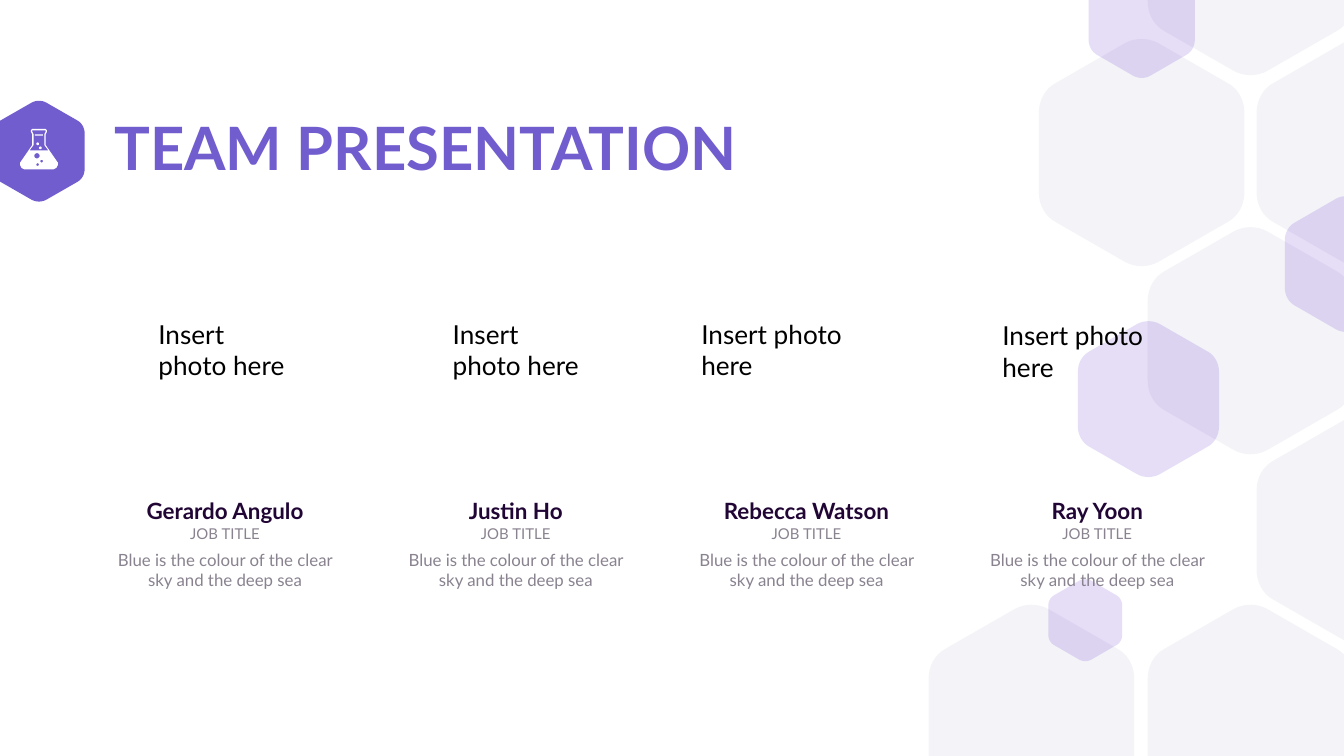
from math import cos, pi, sin

from lxml.etree import SubElement
from pptx import Presentation
from pptx.dml.color import RGBColor
from pptx.enum.shapes import MSO_SHAPE as SHAPE
from pptx.enum.text import MSO_ANCHOR as ANCHOR, MSO_AUTO_SIZE as AUTO, PP_ALIGN as ALIGN
from pptx.oxml.ns import qn
from pptx.util import Inches, Pt

WIDTH, HEIGHT = 10, 10 * 9 / 16
FONT = "Lato"
PURPLE, VIOLET, PALE, WHITE = "725DCF", "5322C9", "F4F3F8", "FFFFFF"
DARK, GREY, BLACK = "210635", "89828F", "000000"

BIG, MEDIUM = (1.53, 1.69), (0.91, 1.01)
BACKGROUND_HEXAGONS = [
    (6.91, 4.5, BIG, PALE, None),
    (8.54, 4.5, BIG, PALE, None),
    (9.35, 0.29, BIG, PALE, None),
    (8.54, -1.13, BIG, PALE, None),
    (8.54, 1.69, BIG, PALE, None),
    (7.73, 0.29, BIG, PALE, None),
    (9.56, 1.46, MEDIUM, VIOLET, 15),
    (7.8, 4.31, (0.55, 0.61), VIOLET, 15),
    (8.1, -0.3, (0.79, 0.88), VIOLET, 15),
    (8.02, 2.39, (1.05, 1.16), VIOLET, 15),
    (9.35, 3.1, BIG, PALE, None),
]
SIDE_CORNER = [(1, 0.325), (1, 0.27), (0.97, 0.22), (0.92, 0.195)]
TOP_CORNER = [(0.58, 0.018), (0.53, -0.006), (0.47, -0.006), (0.42, 0.018)]

FLASK_MIDDLE = 0.29
FLASK_OUTLINE = [(0.05, 0.96), (0.06, 0.97), (0.06, 0.98), (0.05, 1), (0.05, 1.08),
                 (0.14, 1.21), (0.14, 1.23), (0.13, 1.25), (0.11, 1.26)]
FLASK_INSIDE = [(0.05, 0.97), (0.05, 0.98), (0.04, 1), (0.04, 1.08), (0.07, 1.12)]
LIQUID_BUBBLES = [(0.275, 1.16, 0.02), (0.31, 1.2, 0.01), (0.28, 1.225, 0.01)]
AIR_BUBBLES = [(0.29, 1.09), (0.27, 1.06)]

NAMES = ["Gerardo Angulo", "Justin Ho", "Rebecca Watson", "Ray Yoon"]
JOB = "JOB TITLE"
BIO = "Blue is the colour of the clear sky and the deep sea"
PHOTO_BOXES = [(1.08, 2.27, 1.22), (3.27, 2.27, 1.22), (5.12, 2.27, 1.54), (7.36, 2.28, 1.42)]


def rgb(code):
    """Turn a hex string into a colour."""
    return RGBColor.from_string(code)


def paint(sp, color, alpha=None):
    """Fill a shape without line or shadow, with an optional opacity in percent."""
    sp.shadow.inherit = False
    sp.line.fill.background()
    sp.fill.solid()
    sp.fill.fore_color.rgb = rgb(color)
    if alpha is not None:
        node = sp.fill._xPr.find(f"{qn('a:solidFill')}/{qn('a:srgbClr')}")
        SubElement(node, qn("a:alpha")).set("val", str(alpha * 1000))


def add_outline(s, contours, color, alpha=None):
    """Draw closed contours, given in inches, as one freeform."""
    scaled = [[(Inches(x), Inches(y)) for x, y in contour] for contour in contours]
    builder = s.shapes.build_freeform(*scaled[0][0], scale=1.0)
    for i, points in enumerate(scaled):
        if i:
            builder.move_to(*points[0])
        builder.add_line_segments(points[1:], close=True)
    paint(builder.convert_to_shape(), color, alpha)


def bezier(controls, steps=8):
    """Sample a cubic curve."""
    weights = (1, 3, 3, 1)
    return [tuple(sum(n * (1 - t) ** (3 - k) * t ** k * pt[axis]
                      for k, (n, pt) in enumerate(zip(weights, controls)))
                  for axis in (0, 1))
            for t in (i / steps for i in range(steps + 1))]


def add_hexagon(s, left, top, size, color, alpha=None):
    """Draw a rounded hexagon, cut at the upper and lower slide edges."""
    side = bezier(SIDE_CORNER)
    half = side + bezier(TOP_CORNER) + [(1 - x, y) for x, y in reversed(side)]
    unit = half + [(1 - x, 1 - y) for x, y in half]
    w, h = size
    points = [(left + x * w, min(max(top + y * h, 0), HEIGHT)) for x, y in unit]
    add_outline(s, [points], color, alpha)


def circle(cx, cy, radius, steps=24):
    """List the points of a circle."""
    angles = [2 * pi * i / steps for i in range(steps)]
    return [(cx + radius * cos(a), cy + radius * sin(a)) for a in angles]


def mirrored(half):
    """Complete the right half of the flask with its left half."""
    return ([(FLASK_MIDDLE + x, y) for x, y in half]
            + [(FLASK_MIDDLE - x, y) for x, y in reversed(half)])


def add_white(s, kind, left, top, width, height):
    """Add a white preset shape."""
    paint(s.shapes.add_shape(kind, *map(Inches, (left, top, width, height))), WHITE)


def add_flask(s):
    """Draw the flask icon."""
    holes = [circle(*bubble) for bubble in LIQUID_BUBBLES]
    add_outline(s, [mirrored(FLASK_OUTLINE), mirrored(FLASK_INSIDE)] + holes, WHITE)
    add_white(s, SHAPE.ROUNDED_RECTANGLE, 0.26, 1, 0.06, 0.01)
    for left, top in AIR_BUBBLES:
        add_white(s, SHAPE.OVAL, left, top, 0.02, 0.02)


def add_text_box(s, left, top, width, height, inset=0):
    """Add a wrapping text box and return its text frame."""
    tf = s.shapes.add_textbox(*map(Inches, (left, top, width, height))).text_frame
    tf.word_wrap = True
    tf.margin_left = tf.margin_right = tf.margin_top = tf.margin_bottom = Inches(inset)
    return tf


def add_run(p, text, size, color, bold=False):
    """Add a formatted run."""
    r = p.add_run()
    r.text = text
    r.font.name = FONT
    r.font.size = Pt(size)
    r.font.bold = bold
    r.font.color.rgb = rgb(color)


def add_title(s, text):
    """Add the slide title."""
    tf = add_text_box(s, 0.85, 0.91, 6.57, 0.43)
    tf.vertical_anchor = ANCHOR.MIDDLE
    p = tf.paragraphs[0]
    p.line_spacing = 0.9
    add_run(p, text, 32, PURPLE, True)


def add_member(s, left, name):
    """Add the name, job and description of a team member."""
    tf = add_text_box(s, left, 3.7, 1.63, 0.8)
    p = tf.paragraphs[0]
    p.alignment = ALIGN.CENTER
    add_run(p, name, 12, DARK, True)
    p.add_line_break()
    add_run(p, JOB, 8, GREY)
    p = tf.add_paragraph()
    p.alignment = ALIGN.CENTER
    p.space_before = Pt(4)
    add_run(p, BIO, 9, GREY)


def add_photo_hint(s, left, top, width):
    """Add the hint that marks the place of a photo."""
    tf = add_text_box(s, left, top, width, 0.67, 0.1)
    tf.auto_size = AUTO.SHAPE_TO_FIT_TEXT
    add_run(tf.paragraphs[0], "Insert photo here", 14, BLACK)


def main():
    """Build the team slide."""
    prs = Presentation()
    prs.slide_width, prs.slide_height = Inches(WIDTH), Inches(HEIGHT)
    s = prs.slides.add_slide(prs.slide_layouts[6])
    add_hexagon(s, -0.05, 0.75, (0.68, 0.75), PURPLE)
    for hexagon in BACKGROUND_HEXAGONS:
        add_hexagon(s, *hexagon)
    add_title(s, "TEAM PRESENTATION")
    step = (7.35 - 0.86) / (len(NAMES) - 1)
    for i, name in enumerate(NAMES):
        add_member(s, 0.86 + i * step, name)
    add_flask(s)
    for box in PHOTO_BOXES:
        add_photo_hint(s, *box)
    prs.save("out.pptx")


if __name__ == "__main__":
    main()
